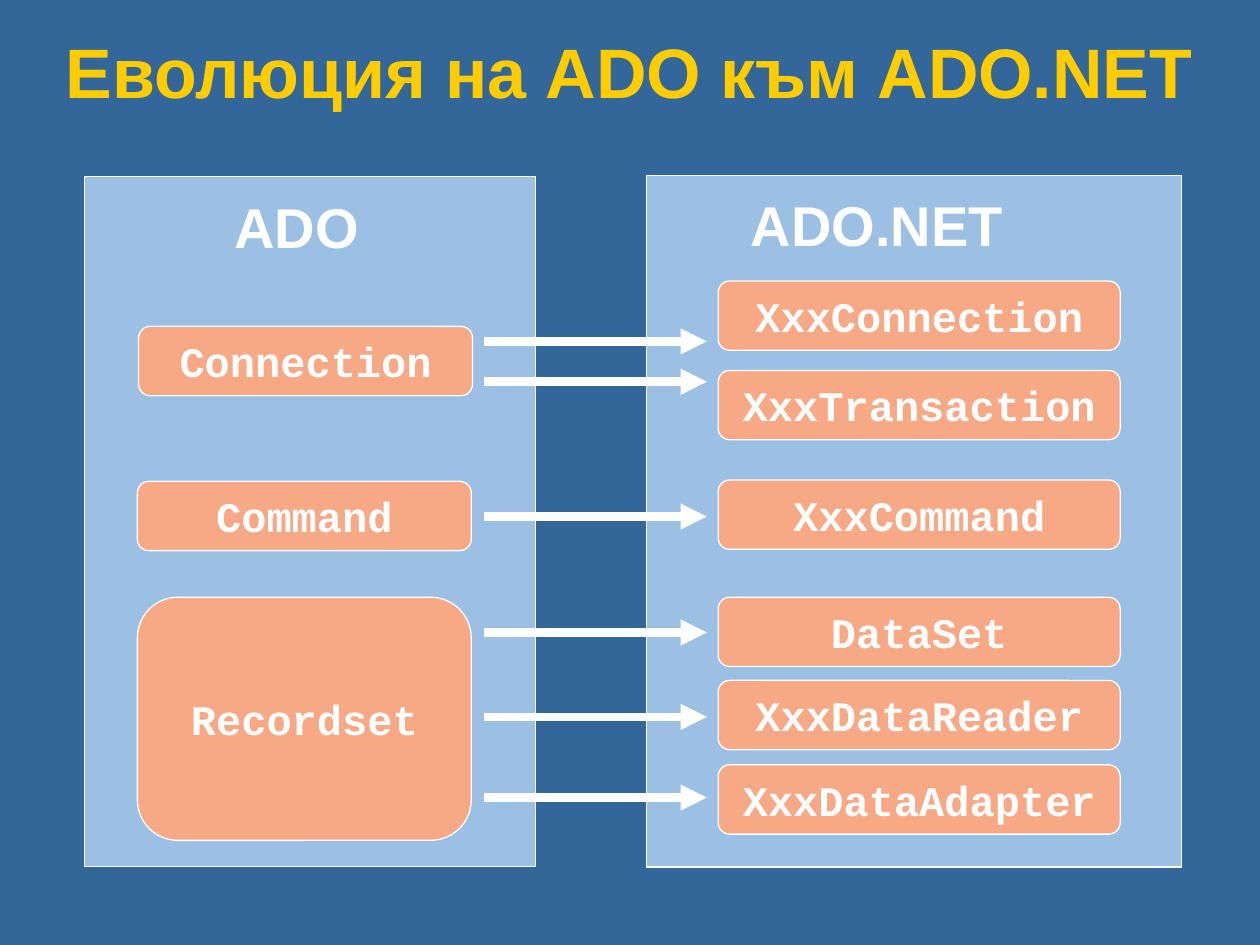
from lxml.etree import SubElement
from pptx import Presentation
from pptx.dml.color import RGBColor
from pptx.enum.shapes import MSO_CONNECTOR, MSO_SHAPE
from pptx.enum.text import MSO_ANCHOR, MSO_AUTO_SIZE, PP_ALIGN
from pptx.oxml.ns import qn
from pptx.util import Inches, Pt

BACKGROUND = RGBColor(0x33, 0x66, 0x99)
PANEL = RGBColor(0x9C, 0xC0, 0xE4)
CLASS_BOX = RGBColor(0xF7, 0xA8, 0x85)
GOLD = RGBColor(0xFF, 0xCC, 0x00)
WHITE = RGBColor(0xFF, 0xFF, 0xFF)

TITLE = "Еволюция на ADO към ADO.NET"
BOX_HEIGHT = 0.55
ARROW_START, ARROW_END = 3.84, 5.61
ARROW_ROWS = [2.71, 3.03, 4.1, 5.02, 5.69, 6.33]

# Class boxes: name, left, top, height
ADO = {
    "heading": ("ADO", (1.76, 1.58, 1.31, 0.56)),
    "panel": (0.67, 1.4, 3.58, 5.48),
    "box_width": 2.65,
    "boxes": [
        ("Connection", 1.1, 2.59, BOX_HEIGHT),
        ("Command", 1.09, 3.82, BOX_HEIGHT),
        ("Recordset", 1.09, 4.74, 1.93),
    ],
}
ADO_NET = {
    "heading": ("ADO.NET", (5.86, 1.57, 2.41, 0.56)),
    "panel": (5.13, 1.39, 4.25, 5.49),
    "box_width": 3.19,
    "boxes": [
        (name, 5.7, top, BOX_HEIGHT)
        for name, top in [
            ("XxxConnection", 2.23),
            ("XxxTransaction", 2.94),
            ("XxxCommand", 3.81),
            ("DataSet", 4.74),
            ("XxxDataReader", 5.4),
            ("XxxDataAdapter", 6.07),
        ]
    ],
}


def place(shape, area):
    shape.left, shape.top, shape.width, shape.height = map(Inches, area)


def write(shape, text, size, color, font="Arial", align=PP_ALIGN.LEFT,
          anchor=MSO_ANCHOR.TOP, spacing=None):
    frame = shape.text_frame
    frame.text = text
    frame.word_wrap = True
    frame.auto_size = MSO_AUTO_SIZE.NONE
    frame.vertical_anchor = anchor
    para = frame.paragraphs[0]
    para.alignment = align
    para.line_spacing = spacing
    para.space_before = Pt(0)
    span = para.runs[0].font
    span.name, span.size, span.bold = font, Pt(size), True
    span.color.rgb = color


def write_heading(shape, heading):
    """Fill a column heading, with a hanging indent and no bullet."""
    text, area = heading
    place(shape, area)
    write(shape, text, 32, WHITE, spacing=0.8)
    properties = shape.text_frame.paragraphs[0]._p.get_or_add_pPr()
    properties.set("marL", str(Inches(0.62)))
    properties.set("indent", str(-Inches(0.62)))
    SubElement(properties, qn("a:buNone"))


def add_block(page, kind, area, fill):
    block = page.shapes.add_shape(kind, *map(Inches, area))
    block.shadow.inherit = False
    block.fill.solid()
    block.fill.fore_color.rgb = fill
    block.line.color.rgb = WHITE
    block.line.width = Pt(0.75)
    return block


def add_column(page, column, heading_shape):
    panel = add_block(page, MSO_SHAPE.RECTANGLE, column["panel"], PANEL)
    panel.element.addnext(heading_shape.element)  # heading in front of panel
    write_heading(heading_shape, column["heading"])
    for name, left, top, height in column["boxes"]:
        area = (left, top, column["box_width"], height)
        box = add_block(page, MSO_SHAPE.ROUNDED_RECTANGLE, area, CLASS_BOX)
        write(box, name, 24, WHITE, "Courier New", PP_ALIGN.CENTER,
              MSO_ANCHOR.MIDDLE)


def add_arrow(page, y):
    arrow = page.shapes.add_connector(
        MSO_CONNECTOR.STRAIGHT,
        Inches(ARROW_START), Inches(y), Inches(ARROW_END), Inches(y))
    arrow.line.color.rgb = WHITE
    arrow.line.width = Pt(5)
    SubElement(arrow.line._get_or_add_ln(), qn("a:tailEnd"), type="triangle")
    SubElement(arrow.element.spPr, qn("a:effectLst"))


def main():
    deck = Presentation()
    deck.slide_width, deck.slide_height = Inches(10), Inches(7.5)
    page = deck.slides.add_slide(deck.slide_layouts[1])
    page.background.fill.solid()
    page.background.fill.fore_color.rgb = BACKGROUND

    title = page.shapes.title
    place(title, (0.42, 0.25, 9.27, 0.87))
    write(title, TITLE, 40, GOLD, spacing=0.9)

    add_column(page, ADO, page.placeholders[1])
    net_heading = page.shapes.add_textbox(0, 0, 0, 0)
    add_column(page, ADO_NET, net_heading)
    for y in ARROW_ROWS:
        add_arrow(page, y)
    deck.save("out.pptx")


if __name__ == "__main__":
    main()
